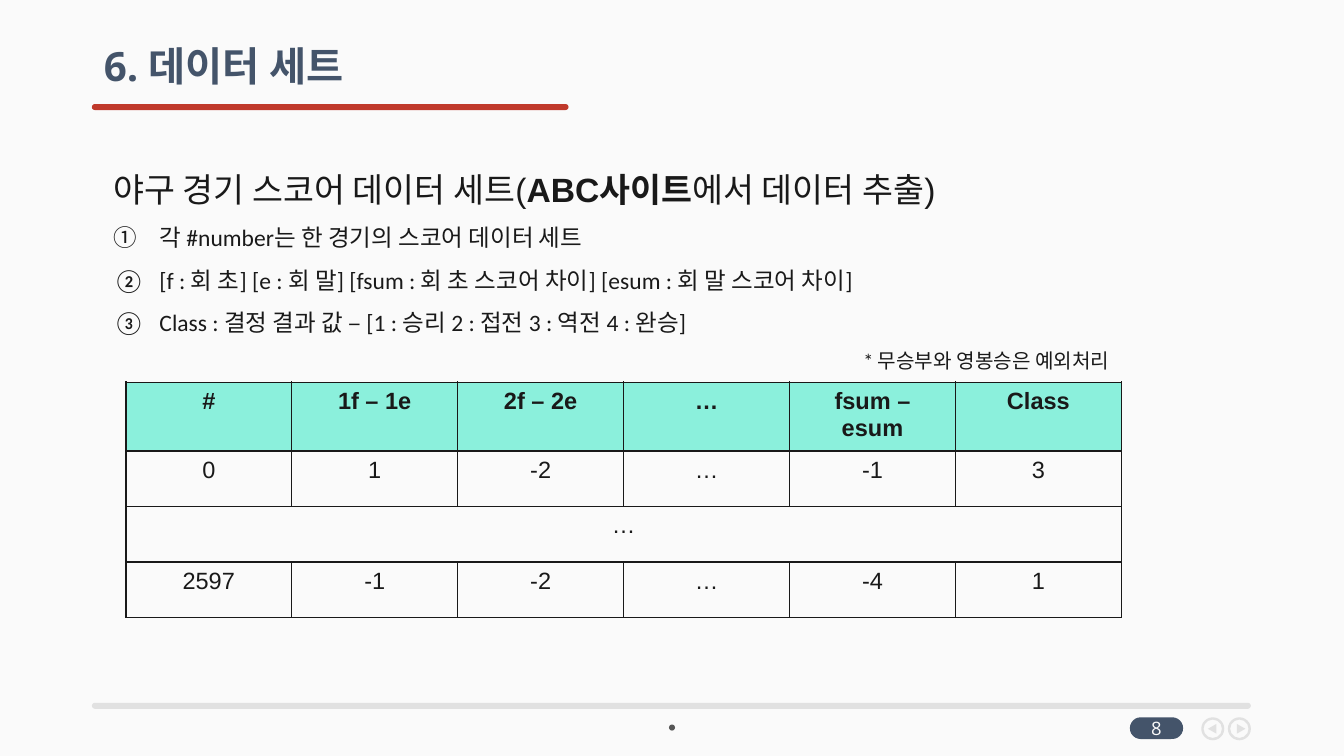
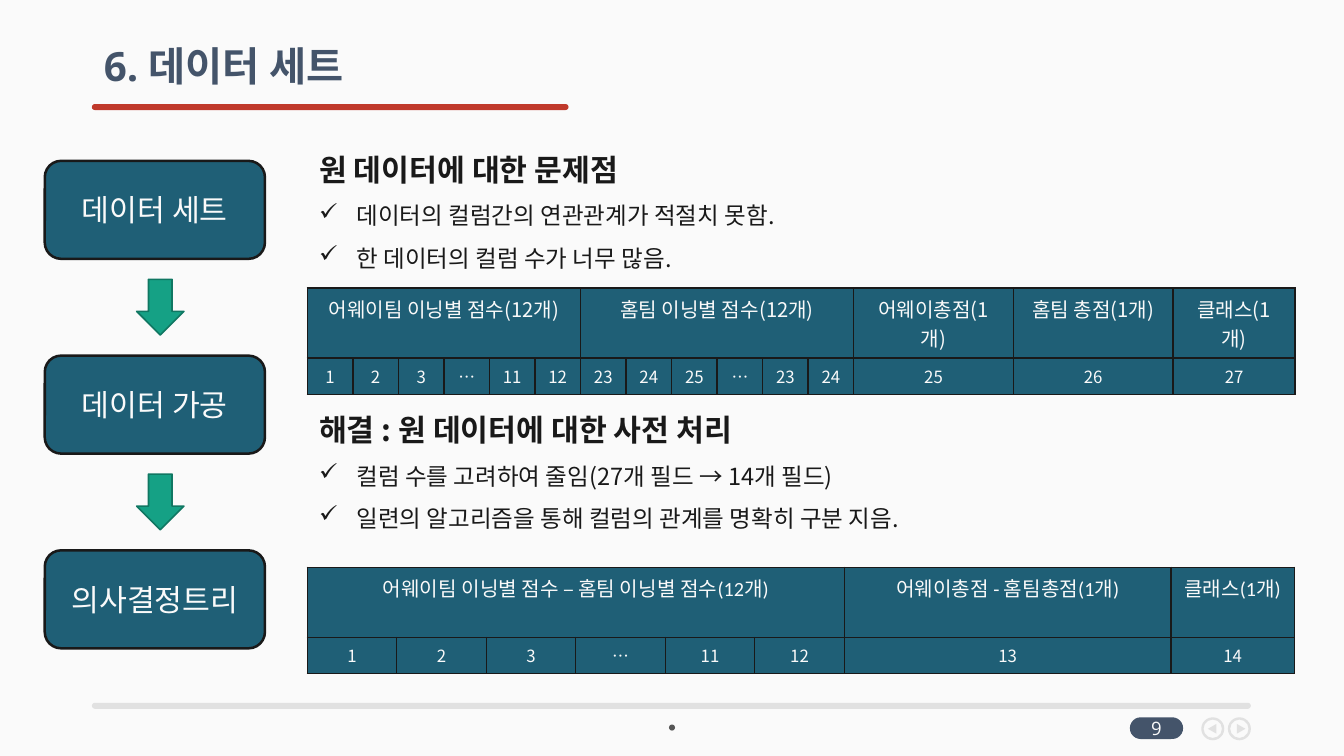
"""Build two slides about the data set of a baseball score project."""
from lxml.etree import SubElement
from pptx import Presentation
from pptx.dml.color import RGBColor
from pptx.enum.shapes import MSO_SHAPE
from pptx.enum.text import MSO_ANCHOR, PP_ALIGN
from pptx.oxml.ns import qn
from pptx.util import Inches, Pt

PAPER, INK, NAVY, RED, GREY = "FAFAFA", "191919", "44546A", "C0392B", "E1E1E1"
DOT, TEAL, MINT, GREEN, DARK_GREEN = "565656", "1F5F76", "8BF0DC", "15A185", "107762"
NOTO, OPEN, ARIAL, CALIBRI = "Noto Sans CJK KR", "Open Sans", "Arial", "Calibri"
rgb = RGBColor.from_string


def write(tf, text, size=14, font=NOTO, color=INK, bold=False, align=None,
          spacing=None, bullet=None, indent=0.0, join=False):
    p = tf.paragraphs[-1]
    if p.runs and not join:
        p = tf.add_paragraph()
    if align is not None:
        p.alignment = align
    if spacing:
        p.line_spacing = spacing
    if bullet:
        pPr = p._p.get_or_add_pPr()
        pPr.set("marL", str(Inches(indent)))
        pPr.set("indent", str(-Inches(indent)))
        if len(bullet) == 1:
            SubElement(pPr, qn("a:buChar"), char=bullet)
        else:
            SubElement(pPr, qn("a:buAutoNum"), type=bullet)
    r = p.add_run()
    r.text = text
    r.font.size, r.font.bold, r.font.name = Pt(size), bold, font
    r.font.color.rgb = rgb(color)
    SubElement(r._r.get_or_add_rPr(), qn("a:ea"), typeface=NOTO)


def place(s, kind, x, y, w, h, fill=None, line=None, weight=1.0, anchor=MSO_ANCHOR.MIDDLE):
    box = [Inches(v) for v in (x, y, w, h)]
    if kind is None:
        sp = s.shapes.add_textbox(*box)
    else:
        sp = s.shapes.add_shape(kind, *box)
        sp.shadow.inherit = False
        sp.fill.solid()
        sp.fill.fore_color.rgb = rgb(fill)
        if line:
            sp.line.color.rgb = rgb(line)
            sp.line.width = Pt(weight)
        else:
            sp.line.fill.background()
    sp.text_frame.word_wrap = True
    sp.text_frame.vertical_anchor = anchor
    return sp


prs = Presentation()
prs.slide_width, prs.slide_height = Inches(11.11), Inches(6.25)

slides = []
for number in (8, 9):
    s = prs.slides.add_slide(prs.slide_layouts[6])
    slides.append(s)
    s.background.fill.solid()
    s.background.fill.fore_color.rgb = rgb(PAPER)

    for x, y, w, h, color in ((0.76, 0.86, 3.94, 0.05, RED),
                              (0.76, 5.81, 9.58, 0.05, GREY),
                              (9.34, 5.93, 0.44, 0.18, NAVY)):
        bar = place(s, MSO_SHAPE.ROUNDED_RECTANGLE, x, y, w, h, color)
        bar.adjustments[0] = 0.5
    bar.text_frame.margin_top = bar.text_frame.margin_bottom = 0
    write(bar.text_frame, str(number), size=11, font=OPEN, color=PAPER, align=PP_ALIGN.CENTER)

    place(s, MSO_SHAPE.OVAL, 5.53, 5.99, 0.05, 0.05, DOT)
    for x, nudge, turn in ((9.93, 0.05, -90), (10.15, 0.07, 90)):
        ring = place(s, MSO_SHAPE.DONUT, x, 5.93, 0.19, 0.19, GREY)
        ring.adjustments[0] = 0.1
        arrow = place(s, MSO_SHAPE.ISOSCELES_TRIANGLE, x + nudge, 5.99, 0.08, 0.07, GREY)
        arrow.rotation = turn

    title = place(s, None, 0.76, 0.33, 3.94, 0.47)
    write(title.text_frame, "6. 데이터 세트", size=24, font=OPEN, color=NAVY, bold=True, spacing=0.9)

data_slide, process_slide = slides

tf = place(data_slide, None, 0.84, 1.18, 8.43, 1.97, anchor=MSO_ANCHOR.TOP).text_frame
write(tf, "야구 경기 스코어 데이터 세트(", size=20, font=ARIAL, spacing=1.5)
write(tf, "ABC사이트", size=20, font=ARIAL, bold=True, join=True)
write(tf, "에서 데이터 추출)", size=20, font=ARIAL, join=True)
for text in ("각 #number는 한 경기의 스코어 데이터 세트",
             "[f : 회 초] [e : 회 말] [fsum : 회 초 스코어 차이] [esum : 회 말 스코어 차이]",
             "Class : 결정 결과 값 – [1 : 승리 2 : 접전 3 : 역전 4 : 완승]"):
    write(tf, text, font=CALIBRI, spacing=1.5, bullet="circleNumDbPlain", indent=0.38)
write(tf, "* 무승부와 영봉승은 예외처리", size=12, font=CALIBRI, spacing=1.5, align=PP_ALIGN.RIGHT)

for y, heading, points in (
        (1.05, "원 데이터에 대한 문제점",
         ("데이터의 컬럼간의 연관관계가 적절치 못함.", "한 데이터의 컬럼 수가 너무 많음.")),
        (3.2, "해결 : 원 데이터에 대한 사전 처리",
         ("컬럼 수를 고려하여 줄임(27개 필드 → 14개 필드)",
          "일련의 알고리즘을 통해 컬럼의 관계를 명확히 구분 지음."))):
    tf = place(process_slide, None, 2.54, y, 5.56, 1.26, anchor=MSO_ANCHOR.TOP).text_frame
    write(tf, heading, size=18, bold=True, spacing=1.5)
    for text in points:
        write(tf, text, spacing=1.5, bullet="✓", indent=0.31)

for i, step in enumerate(("데이터 세트", "데이터 가공", "의사결정트리")):
    y = 1.33 + 1.61 * i
    sp = place(process_slide, MSO_SHAPE.ROUNDED_RECTANGLE, 0.37, y, 1.82, 0.81, TEAL, INK, 1.5)
    write(sp.text_frame, step, size=18, color=PAPER, align=PP_ALIGN.CENTER)
    if i < 2:
        place(process_slide, MSO_SHAPE.DOWN_ARROW, 1.13, y + 0.98, 0.39, 0.46, GREEN, DARK_GREEN)

SPAN = [None] * 5
HEAD = dict(size=12, color=PAPER)
BODY = dict(size=10, color=PAPER)
tables = (
    (data_slide, 1.04, 3.16, [8.23 / 6] * 6, [0.54] + [0.46] * 3, MINT, None,
     dict(font=ARIAL, bold=True), dict(font=ARIAL),
     [["#", "1f – 1e", "2f – 2e", "…", "fsum – esum", "Class"],
      ["0", "1", "-2", "…", "-1", "3"],
      ["…", *SPAN],
      ["2597", "-1", "-2", "…", "-4", "1"]]),
    (process_slide, 2.54, 2.38, [4.52 / 12] * 12 + [1.32, 1.32, 1.01], [0.58, 0.3], TEAL, TEAL,
     HEAD, BODY,
     [["어웨이팀 이닝별 점수(12개)", *SPAN, "홈팀 이닝별 점수(12개)", *SPAN,
       "어웨이총점(1개)", "홈팀 총점(1개)", "클래스(1개)"],
      ["1", "2", "3", "…", "11", "12", "23", "24", "25", "…", "23", "24", "25", "26", "27"]]),
    (process_slide, 2.54, 4.69, [0.74] * 6 + [2.7, 1.02], [0.58, 0.3], TEAL, TEAL,
     dict(HEAD, font=CALIBRI), BODY,
     [["어웨이팀 이닝별 점수 – 홈팀 이닝별 점수(12개)", *SPAN,
       "어웨이총점 - 홈팀총점(1개)", "클래스(1개)"],
      ["1", "2", "3", "…", "11", "12", "13", "14"]]),
)
for s, x, y, widths, heights, head_fill, body_fill, head, body, rows in tables:
    table = s.shapes.add_table(len(rows), len(widths), Inches(x), Inches(y),
                               Inches(sum(widths)), Inches(sum(heights))).table
    table.first_row = table.horz_banding = False
    for column, width in zip(table.columns, widths):
        column.width = Inches(width)
    for i, row in enumerate(rows):
        table.rows[i].height = Inches(heights[i])
        fill, style = (body_fill, body) if i else (head_fill, head)
        for j, text in enumerate(row):
            cell = table.cell(i, j)
            tcPr = cell._tc.get_or_add_tcPr()
            for side in ("a:lnL", "a:lnR", "a:lnT", "a:lnB"):
                ln = SubElement(tcPr, qn(side), w=str(Pt(1)))
                SubElement(SubElement(ln, qn("a:solidFill")), qn("a:srgbClr"), val=INK)
            if fill:
                cell.fill.solid()
                cell.fill.fore_color.rgb = rgb(fill)
            else:
                cell.fill.background()
            if text is not None:
                write(cell.text_frame, text, align=PP_ALIGN.CENTER, **style)
                if row[j + 1:j + 2] == [None]:
                    cell.merge(table.cell(i, j + len(SPAN)))

prs.save("out.pptx")
